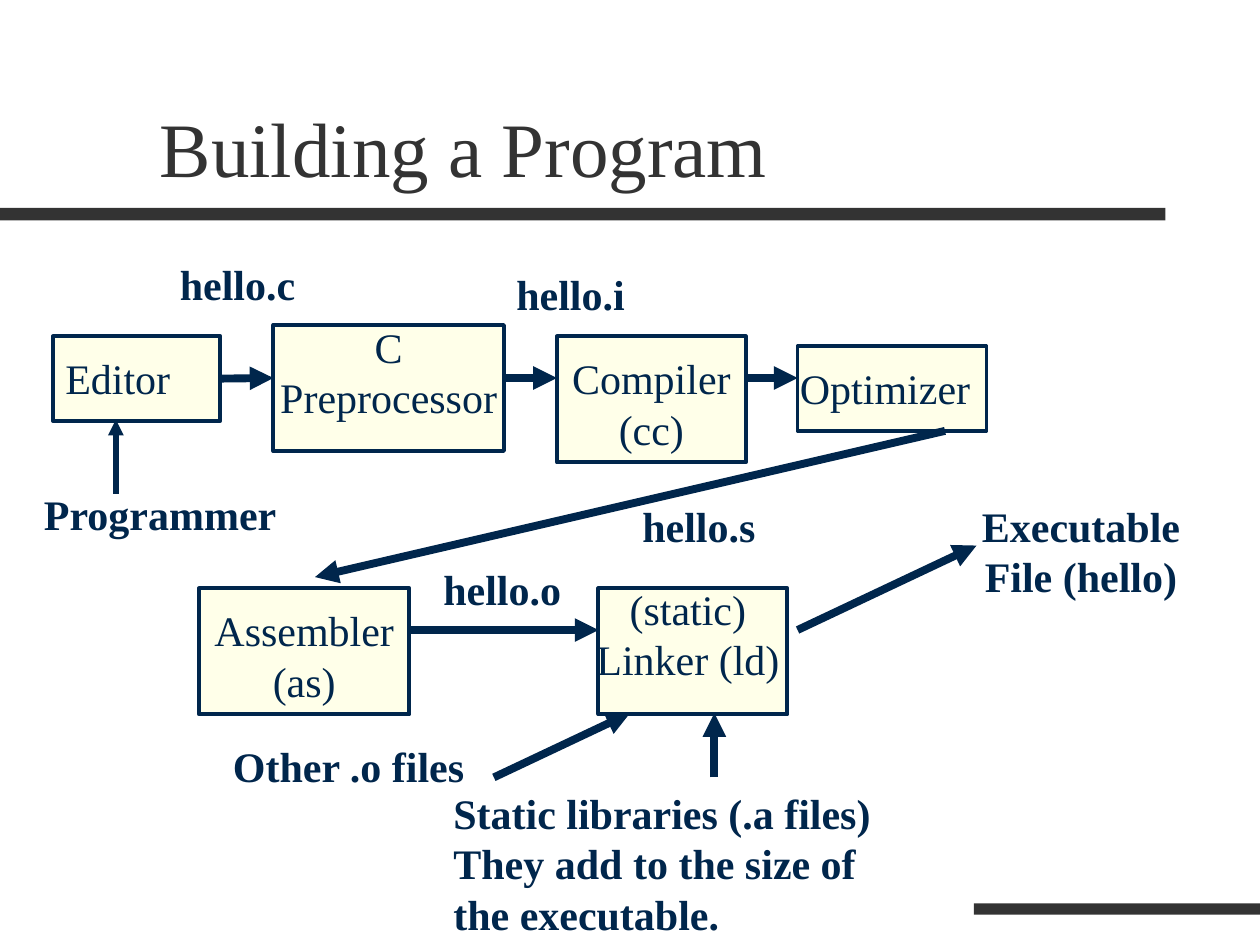
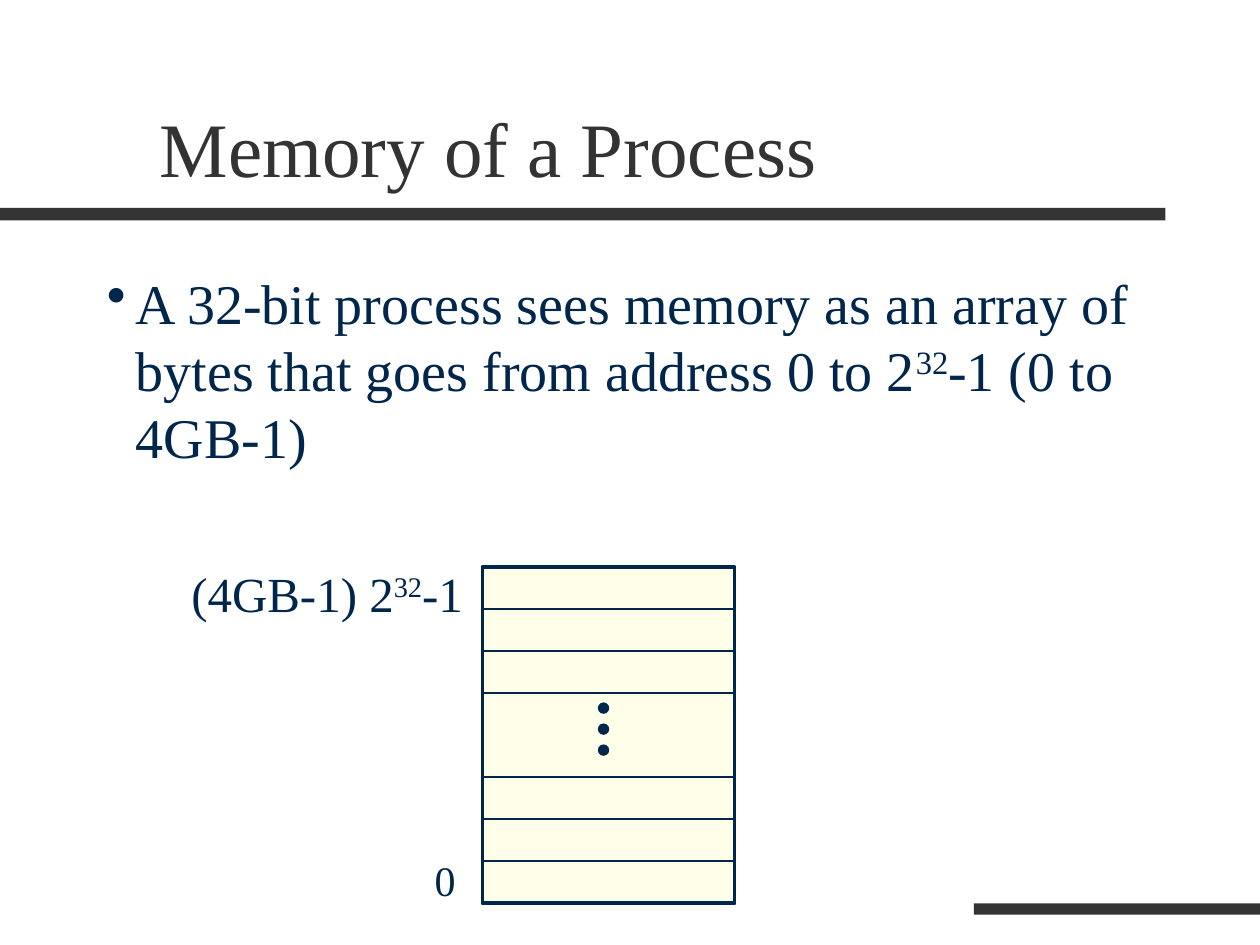
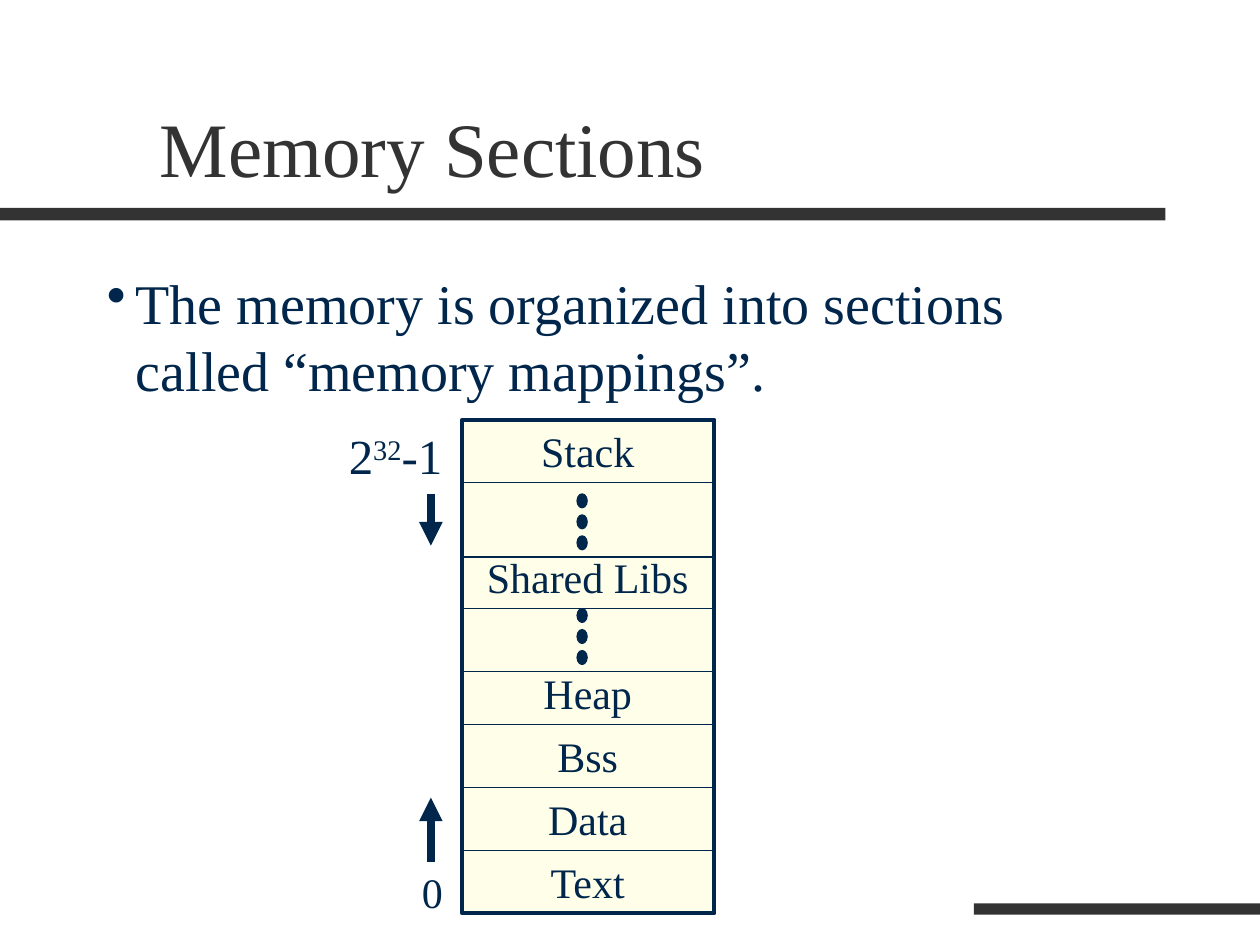
from dataclasses import dataclass
from typing import Optional, Sequence

import pptx
import pptx.dml.color
import pptx.enum.shapes
import pptx.enum.text
import pptx.oxml.ns
import pptx.oxml.xmlchemy
import pptx.shapes.autoshape
import pptx.shapes.connector
import pptx.slide
import pptx.util
from lxml import etree

Inches = pptx.util.Inches
Pt = pptx.util.Pt
qn = pptx.oxml.ns.qn
PRESET = pptx.enum.shapes.MSO_SHAPE
ALIGN = pptx.enum.text.PP_ALIGN
ANCHOR = pptx.enum.text.MSO_ANCHOR
RIGHT_SIDE = 3


@dataclass(frozen=True)
class Theme:
    font: str = "Times New Roman"
    band: str = "333333"
    ink: str = "00264C"
    cell: str = "FFFFE9"
    title_size: float = 44
    body_size: float = 32
    address_size: float = 28
    label_size: float = 24
    box_line: float = 2.25
    thin_line: float = 0.75
    programmer_line: float = 3
    arrow_line: float = 4.5


THEME = Theme()


@dataclass(frozen=True)
class Area:
    left: float
    top: float
    width: float
    height: float

    def lengths(self) -> list[int]:
        return [Inches(side) for side in (self.left, self.top, self.width, self.height)]


@dataclass(frozen=True)
class Stage:
    """A step of the build: its box and the area of its label."""
    text: str
    box: Area
    label: Area
    align: ALIGN = ALIGN.CENTER


@dataclass(frozen=True)
class Label:
    text: str
    area: Area
    align: ALIGN = ALIGN.LEFT


@dataclass(frozen=True)
class Arrow:
    start: tuple[float, float]
    end: tuple[float, float]
    width: float = THEME.arrow_line
    source: Optional[str] = None


BANDS = [Area(0, 1.65, 9.25, 0.1), Area(7.73, 7.17, 2.27, 0.09)]
TITLE_AREA = Area(1.17, 0.33, 8.5, 1.25)
BODY_AREA = Area(0.75, 2.08, 8.5, 4.58)
BULLET_INDENT = 0.23

STAGES = [
    Stage("Editor", Area(0.42, 2.67, 1.33, 0.67), Area(0.42, 2.75, 1.33, 0.5), ALIGN.LEFT),
    Stage("C Preprocessor", Area(2.17, 2.58, 1.83, 1), Area(2, 2.5, 2.17, 0.9)),
    Stage("Compiler\n(cc)", Area(4.42, 2.67, 1.5, 1), Area(4.42, 2.75, 1.5, 0.9)),
    Stage("Optimizer", Area(6.33, 2.75, 1.5, 0.67), Area(6.25, 2.83, 1.75, 0.5), ALIGN.LEFT),
    Stage("Assembler (as)", Area(1.58, 4.67, 1.67, 1), Area(1.58, 4.75, 1.67, 0.9)),
    Stage("(static)\nLinker (ld)", Area(4.75, 4.67, 1.5, 1), Area(4.42, 4.58, 2.08, 1.11)),
]

FILE_LABELS = [
    Label("Programmer", Area(0.25, 3.83, 2.08, 0.5)),
    Label("hello.c", Area(1.33, 2, 1.33, 0.5)),
    Label("hello.i", Area(4, 2.08, 1.25, 0.5)),
    Label("hello.s", Area(5, 3.92, 1.17, 0.5)),
    Label("hello.o", Area(3.42, 4.42, 1.25, 0.5)),
    Label("Executable File (hello)", Area(7.58, 3.92, 2, 0.9), ALIGN.CENTER),
    Label("Other .o files", Area(1.75, 5.83, 2.42, 0.5)),
    Label("Static libraries (.a files) They add to the size of the executable.",
          Area(3.5, 6.2, 3.83, 1.3)),
]

BUILD_ARROWS = [
    Arrow((0.92, 3.92), (0.92, 3.33), THEME.programmer_line),
    Arrow((1.75, 3), (2.17, 3), source="Editor"),
    Arrow((4, 3), (4.42, 3)),
    Arrow((5.92, 3), (6.33, 3)),
    Arrow((7.5, 3.42), (2.5, 4.58)),
    Arrow((3.25, 5), (4.75, 5)),
    Arrow((6.33, 5), (7.75, 4.33)),
    Arrow((3.92, 6.17), (5, 5.66)),
    Arrow((5.67, 6.17), (5.67, 5.66)),
]

SECTION_TOPS = {
    "Stack": 3.33,
    "Shared Libs": 4.33,
    "Heap": 5.25,
    "Bss": 5.75,
    "Data": 6.25,
    "Text": 6.75,
}


def rgb(color: str) -> pptx.dml.color.RGBColor:
    return pptx.dml.color.RGBColor.from_string(color)


def add_text(page: pptx.slide.Slide, text: str, area: Area, *,
             size: float = THEME.label_size, color: str = THEME.ink, bold: bool = False,
             align: ALIGN = ALIGN.LEFT, anchor: ANCHOR = ANCHOR.TOP,
             bullet: bool = False) -> None:
    """Write one paragraph per line; parts between ^ marks are superscript."""
    frame = page.shapes.add_textbox(*area.lengths()).text_frame
    frame.word_wrap = True
    frame.vertical_anchor = anchor
    for index, line in enumerate(text.split("\n")):
        para = frame.add_paragraph() if index else frame.paragraphs[0]
        para.alignment = align
        if bullet:
            add_bullet(para)
        for part, words in enumerate(line.split("^")):
            span = para.add_run()
            span.text = words
            span.font.name = THEME.font
            span.font.size = Pt(size)
            span.font.bold = bold
            span.font.color.rgb = rgb(color)
            if part % 2:
                span.font._element.set("baseline", "30000")


def add_bullet(para) -> None:
    properties = para._p.get_or_add_pPr()
    properties.set("marL", str(Inches(BULLET_INDENT)))
    properties.set("indent", str(-Inches(BULLET_INDENT)))
    etree.SubElement(properties, qn("a:buChar")).set("char", "•")


def add_filled(page: pptx.slide.Slide, area: Area, fill: str, *,
               preset: PRESET = PRESET.RECTANGLE,
               line_width: float = 0) -> pptx.shapes.autoshape.Shape:
    shape = page.shapes.add_shape(preset, *area.lengths())
    shape.shadow.inherit = False
    shape.fill.solid()
    shape.fill.fore_color.rgb = rgb(fill)
    if line_width:
        shape.line.color.rgb = rgb(THEME.ink)
        shape.line.width = Pt(line_width)
    else:
        shape.line.fill.background()
    return shape


def add_line(page: pptx.slide.Slide, start: tuple[float, float], end: tuple[float, float], *,
             width: float, arrowhead: bool = False) -> pptx.shapes.connector.Connector:
    points = [Inches(value) for value in (*start, *end)]
    connector = page.shapes.add_connector(pptx.enum.shapes.MSO_CONNECTOR.STRAIGHT, *points)
    connector.line.color.rgb = rgb(THEME.ink)
    connector.line.width = Pt(width)
    properties = connector._element.spPr
    if arrowhead:
        etree.SubElement(properties.find(qn("a:ln")), qn("a:tailEnd")).set("type", "triangle")
    etree.SubElement(properties, qn("a:effectLst"))
    return connector


def add_arrow(page: pptx.slide.Slide, arrow: Arrow) -> pptx.shapes.connector.Connector:
    return add_line(page, arrow.start, arrow.end, width=arrow.width, arrowhead=True)


def add_page(deck, title: str) -> pptx.slide.Slide:
    page = deck.slides.add_slide(deck.slide_layouts[6])
    for band in BANDS:
        add_filled(page, band, THEME.band)
    add_text(page, title, TITLE_AREA, size=THEME.title_size, color=THEME.band,
             anchor=ANCHOR.BOTTOM)
    return page


def add_body(page: pptx.slide.Slide, text: str) -> None:
    add_text(page, text, BODY_AREA, size=THEME.body_size, bullet=True)


def add_memory(page: pptx.slide.Slide, area: Area, dividers: Sequence[float]) -> None:
    """Draw a block of memory cut by horizontal lines at the given heights."""
    add_filled(page, area, THEME.cell, line_width=THEME.box_line)
    for divider in dividers:
        add_line(page, (area.left, divider), (area.left + area.width, divider),
                 width=THEME.thin_line)


def add_dots(page: pptx.slide.Slide, left: float, top: float, height: float) -> None:
    """Draw three dots, one above the other, for memory left out."""
    for index in range(3):
        add_filled(page, Area(left, top + index / 6, 0.08, height), THEME.ink,
                   preset=PRESET.OVAL, line_width=THEME.thin_line)


def build_program_page(deck) -> None:
    page = add_page(deck, "Building a Program")
    boxes = {}
    for stage in STAGES:
        boxes[stage.text] = add_filled(page, stage.box, THEME.cell, line_width=THEME.box_line)
        add_text(page, stage.text, stage.label, align=stage.align)
    for arrow in BUILD_ARROWS:
        connector = add_arrow(page, arrow)
        if arrow.source:
            connector.begin_connect(boxes[arrow.source], RIGHT_SIDE)
    for label in FILE_LABELS:
        add_text(page, label.text, label.area, bold=True, align=label.align)


def build_process_page(deck) -> None:
    page = add_page(deck, "Memory of a Process")
    add_body(page, "A 32-bit process sees memory as an array of bytes that goes "
                   "from address 0 to 2^32^-1 (0 to 4GB-1)")
    memory = Area(3.83, 4.5, 2, 2.67)
    add_memory(page, memory, [memory.top + row / 3 for row in (1, 2, 3, 5, 6, 7)])
    add_dots(page, 4.75, 5.58, 0.08)
    add_text(page, "0", Area(3.35, 6.73, 0.48, 0.5))
    add_text(page, "(4GB-1) 2^32^-1", Area(1.42, 4.42, 2.67, 0.57), size=THEME.address_size)


def build_sections_page(deck) -> None:
    page = add_page(deck, "Memory Sections")
    add_body(page, "The memory is organized into sections called “memory mappings”.")
    add_memory(page, Area(3.67, 3.33, 2, 3.92), [3.83, 4.42, 4.83, 5.33, 5.75, 6.25, 6.75])
    for top in (3.92, 4.83):
        add_dots(page, 4.58, top, 0.11)
    for section, top in SECTION_TOPS.items():
        add_text(page, section, Area(3.75, top, 1.83, 0.5), align=ALIGN.CENTER)
    for arrow in (Arrow((3.42, 6.84), (3.42, 6.33)), Arrow((3.42, 3.92), (3.42, 4.33))):
        add_arrow(page, arrow)
    add_text(page, "0", Area(3.25, 6.83, 0.5, 0.5))
    add_text(page, "2^32^-1", Area(2.67, 3.33, 1.5, 0.57), size=THEME.address_size)


def main() -> None:
    deck = pptx.Presentation()
    deck.slide_width = Inches(10)
    deck.slide_height = Inches(7.5)
    build_program_page(deck)
    build_process_page(deck)
    build_sections_page(deck)
    deck.save("out.pptx")


if __name__ == "__main__":
    main()
